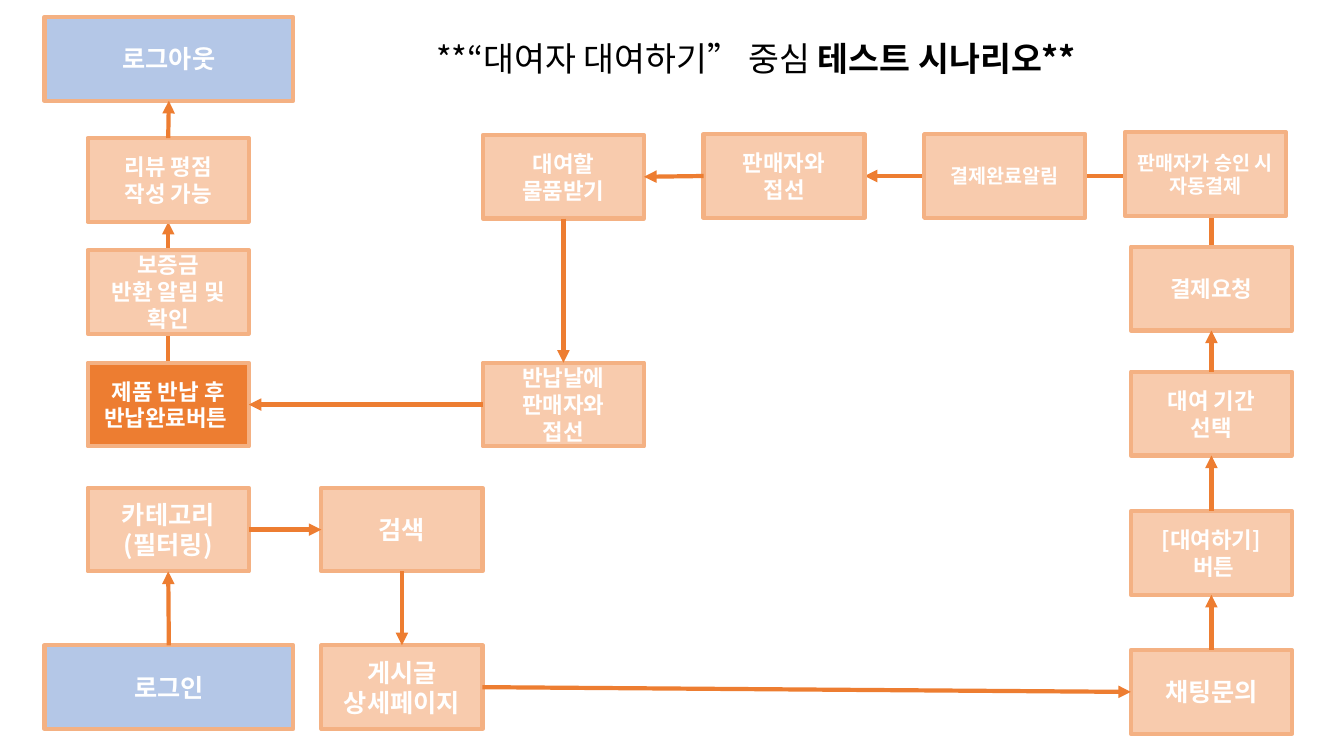
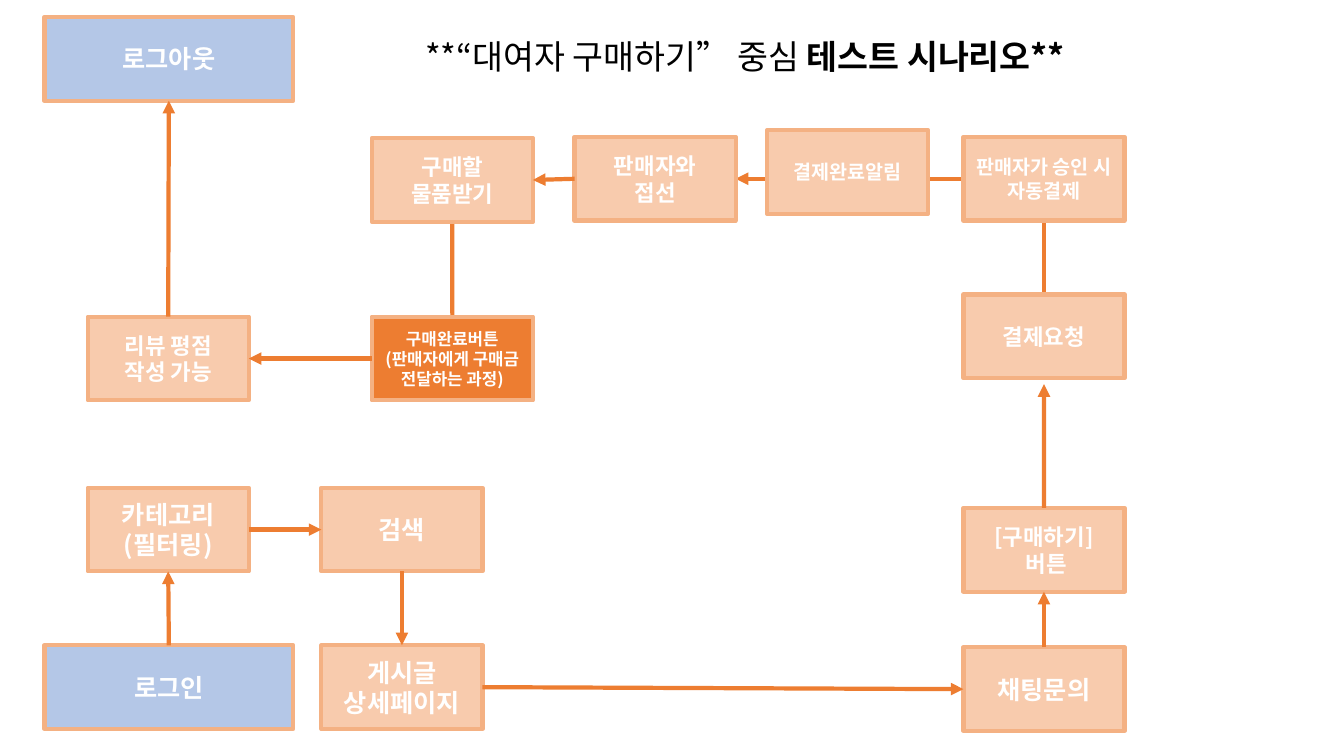
from dataclasses import dataclass

from lxml import etree
from pptx import Presentation
from pptx.dml.color import RGBColor
from pptx.enum.shapes import MSO_CONNECTOR, MSO_SHAPE
from pptx.enum.text import MSO_ANCHOR, MSO_AUTO_SIZE, PP_ALIGN
from pptx.oxml.ns import qn
from pptx.util import Cm, Pt

STRAIGHT, ELBOW = MSO_CONNECTOR.STRAIGHT, MSO_CONNECTOR.ELBOW
RECT = MSO_SHAPE.RECTANGLE
MIDDLE = MSO_ANCHOR.MIDDLE
NO_FIT = MSO_AUTO_SIZE.NONE
LEFT, CENTER = PP_ALIGN.LEFT, PP_ALIGN.CENTER
TOP_SIDE, LEFT_SIDE, BOTTOM_SIDE, RIGHT_SIDE = range(4)


@dataclass(frozen=True)
class Theme:
    font: str = "Noto Sans CJK KR"
    black: str = "000000"
    white: str = "FFFFFF"
    step: str = "F8CBAD"
    key_step: str = "ED7D31"
    terminal: str = "B4C7E7"
    border: str = "F4B183"
    arrow: str = "ED7D31"
    title: int = 24
    large: int = 18
    medium: int = 16
    small: int = 14
    tiny: int = 12
    stroke: int = 3


T = Theme()
BOX_W, BOX_H, TERMINAL_W = 4.06, 2.11, 6.27


def write(p, text, size=T.medium, color=T.white, bold=True, align=CENTER):
    p.alignment = align
    r = p.add_run()
    r.text = text
    r.font.name = T.font
    r.font.size = Pt(size)
    r.font.bold = bold
    r.font.color.rgb = RGBColor.from_string(color)
    ea = etree.Element(qn("a:ea"), typeface=T.font)
    r.font._element.find(qn("a:latin")).addnext(ea)


shared_boxes = [
    ("logout", 1.12, 0.43, ["로그아웃"], T.large, T.terminal),
    ("login", 1.12, 16.26, ["로그인"], T.large, T.terminal),
    ("category", 2.21, 12.29, ["카테고리", "(필터링)"], T.large, T.step),
    ("search", 8.1, 12.29, ["검색"], T.large, T.step),
    ("detail", 8.1, 16.26, ["게시글 상세페이지"], T.large, T.step),
]
shared_arrows = [
    ("login", TOP_SIDE, "category", BOTTOM_SIDE),
    ("category", RIGHT_SIDE, "search", LEFT_SIDE),
    ("search", BOTTOM_SIDE, "detail", TOP_SIDE),
    ("detail", RIGHT_SIDE, "chat", LEFT_SIDE),
    ("chat", TOP_SIDE, "button", BOTTOM_SIDE),
    ("request", TOP_SIDE, "meet", RIGHT_SIDE),
    ("meet", LEFT_SIDE, "receive", RIGHT_SIDE),
    ("review", TOP_SIDE, "logout", BOTTOM_SIDE),
]
scenarios = [
    {
        "title": ("**“대여자 대여하기” 중심 ", 10.74, 0.79),
        "boxes": [
            ("chat", 28.5, 16.38, ["채팅문의"], T.large, T.step),
            ("button", 28.5, 12.88, ["[대여하기]", " 버튼"], T.medium, T.step),
            ("period", 28.5, 9.37, ["대여 기간", "선택"], T.medium, T.step),
            ("request", 28.5, 6.22, ["결제요청"], T.medium, T.step),
            ("approve", 28.35, 3.33, ["판매자가 승인 시 자동결제"], T.small, T.step),
            ("paid", 23.29, 3.38, ["결제완료알림"], T.small, T.step),
            ("meet", 17.73, 3.38, ["판매자와", "접선"], T.medium, T.step),
            ("receive", 12.17, 3.4, ["대여할 물품받기"], T.medium, T.step),
            ("return", 12.17, 9.14, ["반납날에", "판매자와", "접선"], T.medium, T.step),
            ("done", 2.21, 9.14, ["제품 반납 후 반납완료버튼 "], T.medium, T.key_step),
            ("deposit", 2.21, 6.3, ["보증금", "반환 알림 및 확인"], T.medium, T.step),
            ("review", 2.21, 3.48, ["리뷰 평점", "작성 가능"], T.medium, T.step),
        ],
        "arrows": [
            ("button", TOP_SIDE, "period", BOTTOM_SIDE),
            ("period", TOP_SIDE, "request", BOTTOM_SIDE),
            ("receive", BOTTOM_SIDE, "return", TOP_SIDE),
            ("return", LEFT_SIDE, "done", RIGHT_SIDE),
            ("done", TOP_SIDE, "review", BOTTOM_SIDE),
        ],
        "behind": ["request", "done"],
        "loose_arrows": [],
    },
    {
        "title": ("**“대여자 구매하기” 중심 ", 10.46, 0.74),
        "boxes": [
            ("chat", 24.28, 16.31, ["채팅문의"], T.large, T.step),
            ("button", 24.28, 12.8, ["[구매하기]", " 버튼"], T.medium, T.step),
            ("request", 24.28, 7.42, ["결제요청"], T.medium, T.step),
            ("approve", 24.28, 3.45, ["판매자가 승인 시 자동결제"], T.small, T.step),
            ("paid", 19.33, 3.28, ["결제완료알림"], T.small, T.step),
            ("meet", 14.48, 3.45, ["판매자와", "접선"], T.medium, T.step),
            ("receive", 9.37, 3.48, ["구매할 물품받기"], T.medium, T.step),
            ("done", 9.37, 7.98, ["구매완료버튼", "(판매자에게 구매금 전달하는 과정)"], T.tiny, T.key_step),
            ("review", 2.21, 7.98, ["리뷰 평점", "작성 가능"], T.medium, T.step),
        ],
        "arrows": [("done", LEFT_SIDE, "review", RIGHT_SIDE)],
        "behind": ["request", "receive"],
        "loose_arrows": [
            ("button", TOP_SIDE, 26.31, 9.68),
            ("receive", BOTTOM_SIDE, 11.4, 9.2),
        ],
    },
]

prs = Presentation()
prs.slide_width, prs.slide_height = Cm(33.87), Cm(19.05)

for scenario in scenarios:
    slide = prs.slides.add_slide(prs.slide_layouts[5])

    heading, left, top = scenario["title"]
    title = slide.shapes.title
    title.left, title.top, title.width, title.height = Cm(left), Cm(top), Cm(19.76), Cm(1.47)
    tf = title.text_frame
    tf.auto_size = NO_FIT
    tf.vertical_anchor = MIDDLE
    p = tf.paragraphs[0]
    p.line_spacing = 0.9
    for text, bold in ((heading, False), ("테스트 시나리오**", True)):
        write(p, text, size=T.title, color=T.black, bold=bold, align=LEFT)

    boxes = {}
    for name, left, top, lines, size, fill in shared_boxes + scenario["boxes"]:
        width = TERMINAL_W if fill == T.terminal else BOX_W
        sp = slide.shapes.add_shape(RECT, Cm(left), Cm(top), Cm(width), Cm(BOX_H))
        sp.shadow.inherit = False
        sp.fill.solid()
        sp.fill.fore_color.rgb = RGBColor.from_string(fill)
        sp.line.color.rgb = RGBColor.from_string(T.border)
        sp.line.width = Pt(T.stroke)
        tf = sp.text_frame
        tf.word_wrap = True
        tf.vertical_anchor = MIDDLE
        for i, text in enumerate(lines):
            p = tf.paragraphs[0] if i == 0 else tf.add_paragraph()
            write(p, text, size=size)
        boxes[name] = sp

    for start, side, *end in shared_arrows + scenario["arrows"] + scenario["loose_arrows"]:
        bent = start == "request"
        c = slide.shapes.add_connector(ELBOW if bent else STRAIGHT, 0, 0, 0, 0)
        c.begin_connect(boxes[start], side)
        if end[0] in boxes:
            c.end_connect(boxes[end[0]], end[1])
        else:
            c.end_x, c.end_y = Cm(end[0]), Cm(end[1])
        spPr = c._element.spPr
        if bent:
            x, y = (c.begin_x + c.end_x) // 2, (c.begin_y + c.end_y) // 2
            run, rise = c.begin_x - c.end_x, c.begin_y - c.end_y
            c.left, c.top, c.width, c.height = x - rise // 2, y - run // 2, rise, run
            xfrm = spPr.find(qn("a:xfrm"))
            xfrm.set("rot", "16200000")
            xfrm.set("flipH", "0")
            xfrm.set("flipV", "1")
            spPr.find(qn("a:prstGeom")).set("prst", "bentConnector2")
        c.line.color.rgb = RGBColor.from_string(T.arrow)
        c.line.width = Pt(T.stroke)
        etree.SubElement(spPr.find(qn("a:ln")), qn("a:tailEnd"), type="triangle")
        etree.SubElement(spPr, qn("a:effectLst"))
        if start in scenario["behind"]:
            slide.shapes._spTree.insert(2, c._element)

prs.save("out.pptx")
